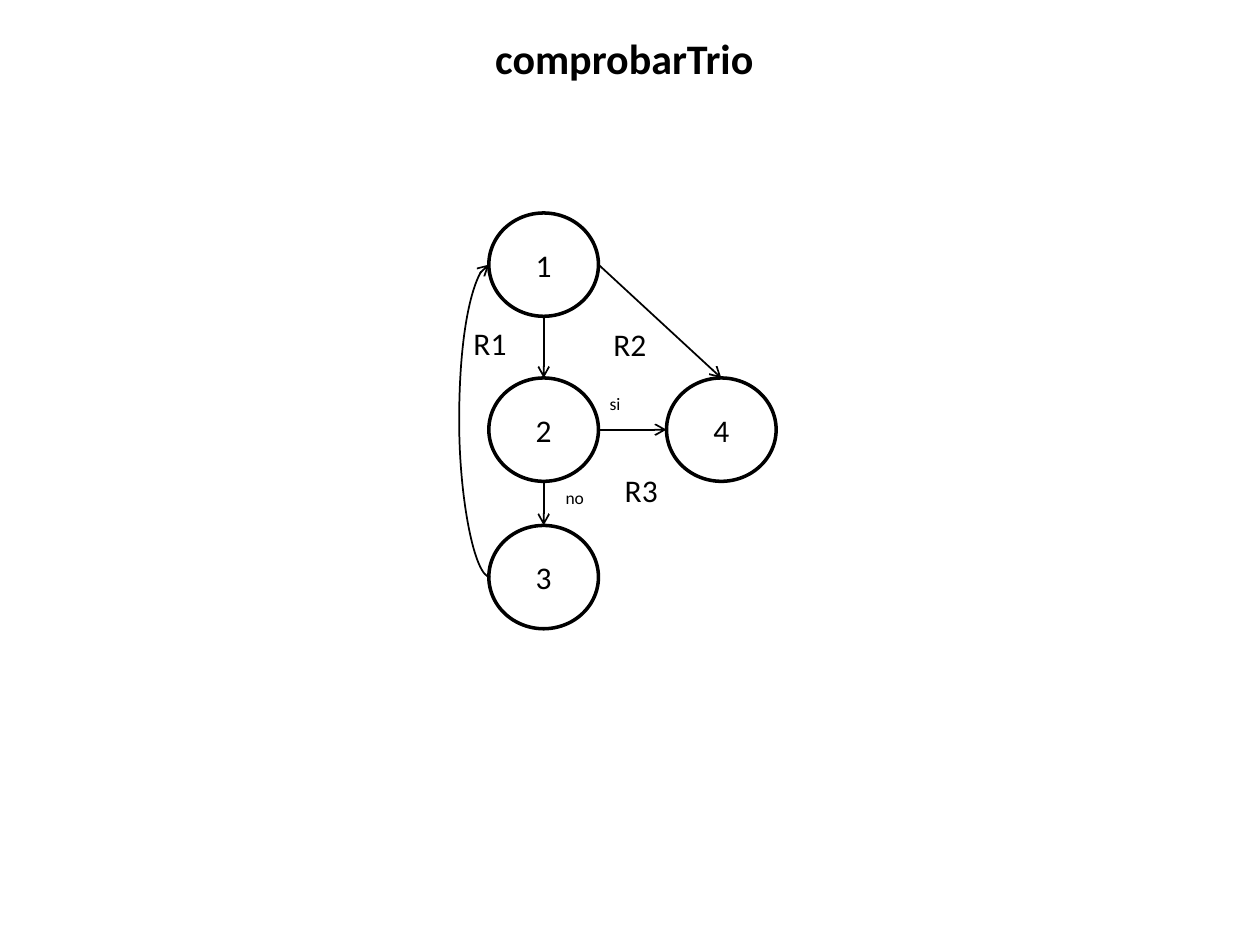
"""Builds the control-flow graph slide of comprobarTrio."""
import pptx
import pptx.util
import pptx.dml.color
import pptx.enum.shapes
import pptx.enum.text
import pptx.oxml
import pptx.oxml.ns

In, Pt = pptx.util.Inches, pptx.util.Pt
CONN = pptx.enum.shapes.MSO_CONNECTOR
ALIGN = pptx.enum.text.PP_ALIGN
BLACK = "000000"


def write(tf, text, size, align, bold=False):
    p = tf.paragraphs[0]
    p.text, p.alignment = text, align
    p.font.name, p.font.size, p.font.bold = "Calibri", Pt(size), bold
    p.font.color.rgb = pptx.dml.color.RGBColor.from_string(BLACK)


def arrow(kind, x1, y1, x2, y2):
    c = s.shapes.add_connector(kind, In(x1), In(y1), In(x2), In(y2))
    c.line.width = Pt(1)
    c.line.color.rgb = pptx.dml.color.RGBColor.from_string(BLACK)
    ln = c.line._get_or_add_ln()
    ln.append(pptx.oxml.parse_xml(f'<a:tailEnd {pptx.oxml.ns.nsdecls("a")} type="arrow"/>'))
    c._element.spPr.append(pptx.oxml.parse_xml(f'<a:effectLst {pptx.oxml.ns.nsdecls("a")}/>'))
    return c


prs = pptx.Presentation()
prs.slide_width, prs.slide_height = In(10), In(7.5)
s = prs.slides.add_slide(prs.slide_layouts[6])

W, H = 0.87, 0.82
cols = [3.88, 5.29]
rows = [1.69, 3, 4.17]
nodes = {"1": (0, 0), "2": (0, 1), "3": (0, 2), "4": (1, 1)}
ports = {"top": (W / 2, 0), "bottom": (W / 2, H), "left": (0, H / 2), "right": (W, H / 2)}

for label, (col, row) in nodes.items():
    sp = s.shapes.add_shape(pptx.enum.shapes.MSO_SHAPE.OVAL,
                            In(cols[col]), In(rows[row]), In(W), In(H))
    sp.shadow.inherit = False
    sp.fill.background()
    sp.line.width = Pt(2)
    sp.line.color.rgb = pptx.dml.color.RGBColor.from_string(BLACK)
    sp.text_frame.vertical_anchor = pptx.enum.text.MSO_ANCHOR.MIDDLE
    write(sp.text_frame, label, 18, ALIGN.CENTER)

edges = [("1", "bottom", "2", "top"), ("2", "bottom", "3", "top"),
         ("2", "right", "4", "left"), ("1", "right", "4", "top")]
for start, out, end, into in edges:
    ends = []
    for node, port in ((start, out), (end, into)):
        col, row = nodes[node]
        dx, dy = ports[port]
        ends += [cols[col] + dx, rows[row] + dy]
    arrow(CONN.STRAIGHT, *ends)

loop = arrow(CONN.CURVE, cols[0], rows[0] + H / 2, cols[0] + 0.01, rows[2] + H / 2)
loop._element.spPr.find(pptx.oxml.ns.qn("a:xfrm")).set("rot", "10800000")
guides = loop._element.spPr.find(pptx.oxml.ns.qn("a:prstGeom")).get_or_add_avLst()
guides.append(pptx.oxml.parse_xml(
    f'<a:gd {pptx.oxml.ns.nsdecls("a")} name="adj1" fmla="val 2500000"/>'))

texts = [("comprobarTrio", 1.05, 0.21, 7.81, 0.5, 24),
         ("si", 4.74, 3.07, 0.29, 0.27, 10), ("no", 4.39, 3.82, 0.35, 0.27, 10),
         ("R1", 3.66, 2.52, 0.47, 0.4, 18), ("R2", 4.77, 2.53, 0.47, 0.4, 18),
         ("R3", 4.86, 3.69, 0.47, 0.4, 18)]
for text, x, y, w, h, size in texts:
    title = size == 24
    tf = s.shapes.add_textbox(In(x), In(y), In(w), In(h)).text_frame
    tf.word_wrap = title
    tf.auto_size = pptx.enum.text.MSO_AUTO_SIZE.SHAPE_TO_FIT_TEXT
    write(tf, text, size, ALIGN.CENTER if title else ALIGN.LEFT, title)

prs.save("out.pptx")
